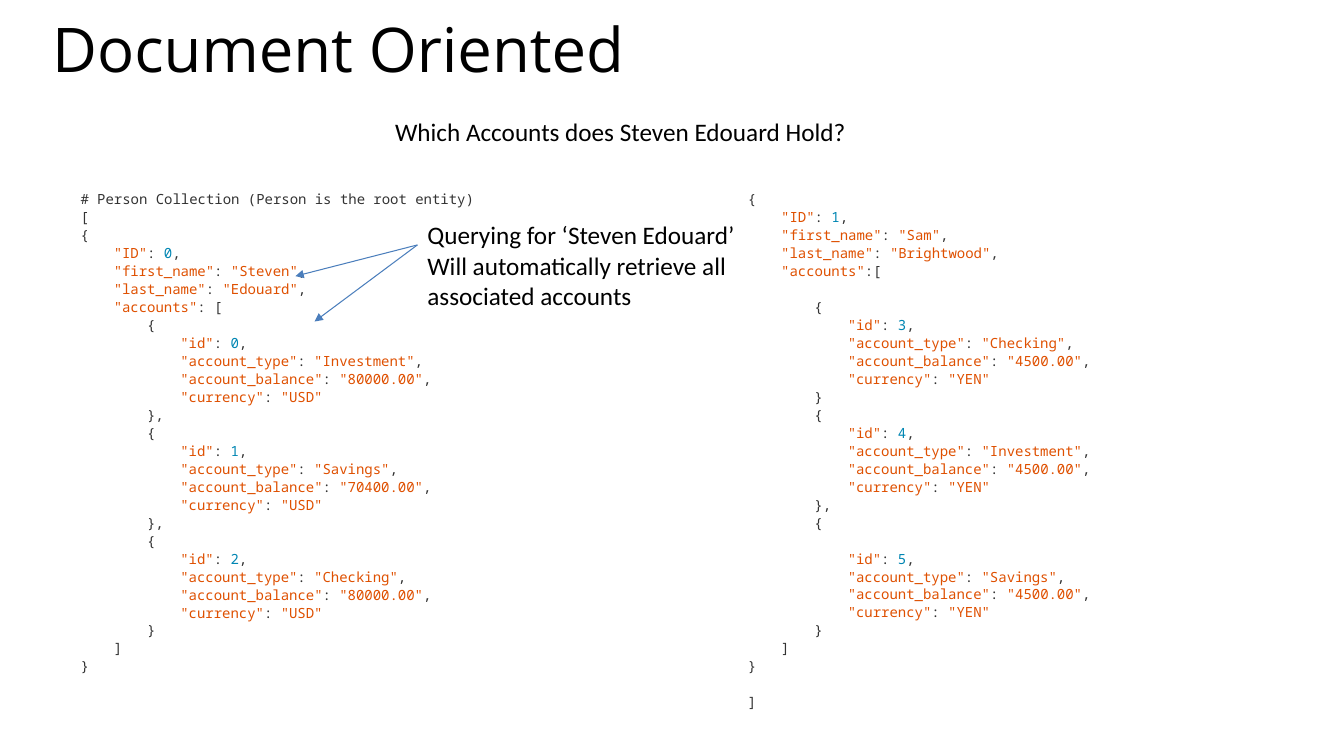
from dataclasses import dataclass
from itertools import groupby

from lxml import etree
from pptx import Presentation, util as u
from pptx.dml.color import RGBColor
from pptx.enum import shapes, text
from pptx.oxml import ns


@dataclass(frozen=True)
class Theme:
    """Hold the colours, fonts and type sizes."""
    ink: str = "000000"
    plain: str = "333333"
    quote: str = "DF5000"
    digit: str = "0086B3"
    arrow: str = "4B7EBC"
    head: str = "Open Sans"
    body: str = "Calibri"
    mono: str = "Noto Sans Mono"
    title: int = 44
    note: int = 18
    code: int = 10
    row: float = 12.8
    step: float = 0.33


THEME = Theme()
STEVEN = [(0, "Investment", "80000.00", "},"),
          (1, "Savings", "70400.00", "},"),
          (2, "Checking", "80000.00", "}")]
SAM = [(3, "Checking", "4500.00", "}"),
       (4, "Investment", "4500.00", "},"),
       (5, "Savings", "4500.00", "}")]


def apply(item, form):
    """Set each attribute named in a dict of format values."""
    for name, value in form.items():
        setattr(item, name, value)


def add_run(para, words, font, size, color):
    """Add one run of styled text."""
    run = para.add_run()
    run.text = words
    apply(run.font, {"name": font, "size": u.Pt(size)})
    run.font.color.rgb = RGBColor.from_string(color)


def add_frame(slide, box, wrap=True):
    """Add a text box and give back its frame."""
    frame = slide.shapes.add_textbox(*map(u.Inches, box)).text_frame
    apply(frame, {"word_wrap": wrap, "auto_size": text.MSO_AUTO_SIZE.NONE,
                  "vertical_anchor": text.MSO_ANCHOR.TOP})
    return frame


def add_para(frame, index):
    """Give the first paragraph, or add a further one."""
    return frame.add_paragraph() if index else frame.paragraphs[0]


def add_note(slide, box, lines, font, size, wrap=False, space=1.0):
    """Add a box with one plain paragraph a line."""
    frame = add_frame(slide, box, wrap)
    for index, line in enumerate(lines):
        para = add_para(frame, index)
        para.line_spacing = space
        add_run(para, line, font, size, THEME.ink)


def paint(line):
    """Split a line of code into pieces and their colours."""
    for index, part in enumerate(line.split('"')):
        if index % 2:
            yield f'"{part}"', THEME.quote
        else:
            for digit, chars in groupby(part, str.isdigit):
                yield "".join(chars), THEME.digit if digit else THEME.plain


def add_code(slide, box, rows):
    """Add coloured code, where an empty row opens a gap."""
    frame = add_frame(slide, box)
    index = gap = 0
    for level, line in rows:
        if not line:
            gap += THEME.row
            continue
        para = add_para(frame, index)
        apply(para, {"line_spacing": 1.07, "space_before": u.Pt(gap)})
        props = para._p.get_or_add_pPr()
        props.set("marL", str(u.Inches(level * THEME.step)))
        props.set("indent", "0")
        for words, color in paint(line):
            add_run(para, words, THEME.mono, THEME.code, color)
        index, gap = index + 1, 0


def account(number, kind, sum, end, coin, gap=False):
    """List the rows of one account."""
    fields = [f'"id": {number},', f'"account_type": "{kind}",',
              f'"account_balance": "{sum}",', f'"currency": "{coin}"']
    blank = [(0, "")] if gap else []
    return [(2, "{"), *blank, *((3, field) for field in fields), (2, end)]


def person(number, first, last, colon, items):
    """List the rows of one person around the account rows."""
    fields = [f'"ID": {number},', f'"first_name": "{first}",',
              f'"last_name": "{last}",', f'"accounts"{colon}[']
    return [(0, "{"), *((1, field) for field in fields), *items,
            (1, "]"), (0, "}")]


def add_arrow(slide, start, end):
    """Add a thin arrow that points at its end."""
    line = slide.shapes.add_connector(
        shapes.MSO_CONNECTOR.STRAIGHT, *map(u.Inches, start + end))
    line.line.width = u.Pt(0.75)
    line.line.color.rgb = RGBColor.from_string(THEME.arrow)
    tail = etree.SubElement(line.line._get_or_add_ln(), ns.qn("a:tailEnd"))
    tail.set("type", "triangle")
    etree.SubElement(line._element.spPr, ns.qn("a:effectLst"))


def main():
    """Build the slide and save it."""
    deck = Presentation()
    apply(deck, {"slide_width": u.Inches(13.33),
                 "slide_height": u.Inches(7.5)})
    slide = deck.slides.add_slide(deck.slide_layouts[6])
    add_note(slide, (0.42, 0.2, 12.6, 1.16), ["Document Oriented"],
             THEME.head, THEME.title, True, 0.8)

    items = [row for item in STEVEN for row in account(*item, "USD")]
    add_code(slide, (0.7, 1.83, 4.18, 4.96), [
        (0, "# Person Collection (Person is the root entity)"), (0, "["),
        *person(0, "Steven", "Edouard", ": ", items)])
    items = [row for item in SAM
             for row in account(*item, "YEN", item is SAM[-1])]
    add_code(slide, (7.32, 1.83, 6, 5.32), [
        *person(1, "Sam", "Brightwood", ":", [(0, ""), *items]),
        (0, ""), (0, "]")])

    add_note(slide, (3.82, 1.11, 4.72, 0.4),
             ["Which Accounts does Steven Edouard Hold?"],
             THEME.body, THEME.note)
    add_note(slide, (4.14, 2.13, 3.29, 1.01),
             ["Querying for ‘Steven Edouard’",
              "Will automatically retrieve all", "associated accounts"],
             THEME.body, THEME.note)
    for end in ((2.93, 2.74), (3.12, 3.19)):
        add_arrow(slide, (4.14, 2.43), end)
    deck.save("out.pptx")


main()
